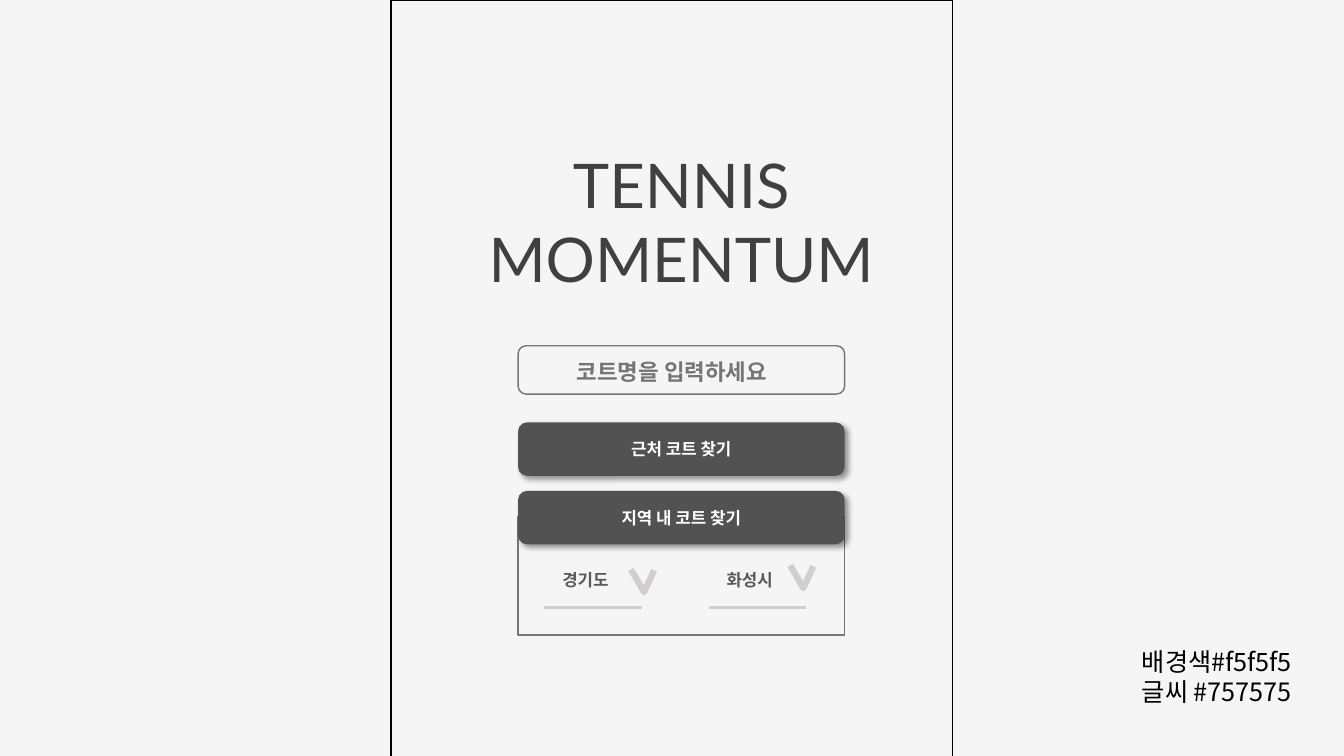
from dataclasses import dataclass

from lxml.etree import SubElement
from pptx import Presentation
from pptx.dml.color import RGBColor
from pptx.enum.shapes import MSO_CONNECTOR as Connector, MSO_SHAPE as Shape
from pptx.enum.text import MSO_ANCHOR as Anchor, MSO_AUTO_SIZE as AutoSize, PP_ALIGN as Align
from pptx.oxml.ns import qn
from pptx.util import Inches, Pt

WIDTH, HEIGHT = Inches(13.33), Inches(7.5)
COLUMN, ROW = WIDTH / 100, HEIGHT / 100


@dataclass(frozen=True)
class Theme:
    background: str = "F5F5F5"
    ink: str = "000000"
    title: str = "404040"
    hint: str = "757575"
    label: str = "595959"
    button: str = "525252"
    button_text: str = "FFFFFF"
    marker: str = "D0CECE"
    body_font: str = "Arial"
    title_font: str = "Lato"
    korean_font: str = "Noto Sans CJK KR"
    title_size: int = 44
    note_size: int = 18
    hint_size: int = 16
    label_size: int = 12
    outline: float = 1
    underline: float = 2.25
    chevron: float = 4.5


THEME = Theme()


@dataclass(frozen=True)
class Box:
    left: float
    top: float
    width: float
    height: float

    def inner(self, left, top, width, height):
        return Box(self.left + left, self.top + top, width, height)

    def lengths(self):
        return (round(self.left * COLUMN), round(self.top * ROW),
                round(self.width * COLUMN), round(self.height * ROW))


def color(value):
    return RGBColor.from_string(value)


def add_run(para, text, size, tint, font, bold=False):
    span = para.add_run()
    span.text = text
    span.font.size = Pt(size)
    span.font.bold = bold
    span.font.name = font
    span.font.color.rgb = color(tint)
    SubElement(span.font._element, qn("a:ea"), typeface=THEME.korean_font)


def add_text(page, box, lines, size, tint, font, bold=False, align=Align.LEFT, wrap=True):
    frame = page.shapes.add_textbox(*box.lengths()).text_frame
    frame.word_wrap = wrap
    frame.auto_size = AutoSize.SHAPE_TO_FIT_TEXT
    for index, line in enumerate(lines):
        para = frame.add_paragraph() if index else frame.paragraphs[0]
        para.alignment = align
        add_run(para, line, size, tint, font, bold)


def add_panel(page, box, kind, fill=None, line=None):
    panel = page.shapes.add_shape(kind, *box.lengths())
    panel.shadow.inherit = False
    if fill:
        panel.fill.solid()
        panel.fill.fore_color.rgb = color(fill)
    else:
        panel.fill.background()
    if line:
        panel.line.color.rgb = color(line)
        panel.line.width = Pt(THEME.outline)
    else:
        panel.line.fill.background()
    return panel


def add_caption(panel, text, size, tint):
    panel.text_frame.word_wrap = True
    panel.text_frame.vertical_anchor = Anchor.MIDDLE
    para = panel.text_frame.paragraphs[0]
    para.alignment = Align.CENTER
    add_run(para, text, size, tint, THEME.body_font, True)


def add_button(page, box, text):
    button = add_panel(page, box, Shape.ROUNDED_RECTANGLE, fill=THEME.button)
    add_caption(button, text, THEME.label_size, THEME.button_text)
    effects = button._element.spPr.find(qn("a:effectLst"))
    shadow = SubElement(effects, qn("a:outerShdw"), blurRad=str(Pt(4)), dist=str(Pt(3)),
                        dir="2700000", algn="tl", rotWithShape="0")
    tint = SubElement(shadow, qn("a:srgbClr"), val=THEME.ink)
    SubElement(tint, qn("a:alpha"), val="40000")


def add_chevron(page, box):
    left, top, width, height = box.lengths()
    builder = page.shapes.build_freeform(left, top)
    builder.add_line_segments(
        [(left + round(width * 0.57), top + height), (left + width, top + round(height * 0.04))],
        close=False)
    chevron = builder.convert_to_shape()
    chevron.shadow.inherit = False
    chevron.fill.background()
    chevron.line.color.rgb = color(THEME.marker)
    chevron.line.width = Pt(THEME.chevron)


def add_selector(page, box, text, chevron_left, chevron_top):
    left, top, width, height = box.lengths()
    underline = page.shapes.add_connector(
        Connector.STRAIGHT, left, top + height, left + width, top + height)
    underline.line.color.rgb = color(THEME.marker)
    underline.line.width = Pt(THEME.underline)
    SubElement(underline._element.spPr, qn("a:effectLst"))
    add_text(page, box.inner(0.6, 0, 7.72, 4), [text], THEME.label_size, THEME.label,
             THEME.body_font, bold=True)
    add_chevron(page, box.inner(chevron_left, chevron_top, 1.72, 3))


def add_region_search(page, box):
    selectors = [("경기도", 6.45, 0.66), ("화성시", 6.08, 0.13)]
    for index, (text, chevron_left, chevron_top) in enumerate(selectors):
        selector = box.inner(1.95 + index * 12.22, 6.27, 7.25, 5.66)
        add_selector(page, selector, text, chevron_left, chevron_top)
    add_panel(page, box, Shape.RECTANGLE, line=THEME.hint)
    add_button(page, box.inner(0, -3.47, box.width, 7.07), "지역 내 코트 찾기")


def add_search_field(page, box):
    hint = add_panel(page, box.inner(-6.37, -1.33, 35.62, 9.47), Shape.ROUNDED_RECTANGLE)
    hint.adjustments[0] = 0.5
    add_caption(hint, "코트명을 입력하세요", THEME.hint_size, THEME.hint)
    add_panel(page, box, Shape.ROUNDED_RECTANGLE, line=THEME.hint)


def add_phone(page, box):
    inset, width = 9.45, 24.3
    add_search_field(page, box.inner(inset, 45.73, width, 6.4))
    add_text(page, box.inner(3, 18.8, 37.2, 21.07), ["TENNIS MOMENTUM"], THEME.title_size,
             THEME.title, THEME.title_font, align=Align.CENTER)
    add_button(page, box.inner(inset, 55.87, width, 7.07), "근처 코트 찾기")
    add_region_search(page, box.inner(inset, 68.4, width, 15.6))
    add_panel(page, box, Shape.RECTANGLE, line=THEME.ink)


def add_color_notes(page, box):
    add_text(page, box, ["배경색#f5f5f5", "글씨 #757575"], THEME.note_size, THEME.ink,
             THEME.korean_font, wrap=False)


def main():
    deck = Presentation()
    deck.slide_width, deck.slide_height = WIDTH, HEIGHT
    page = deck.slides.add_slide(deck.slide_layouts[6])
    page.background.fill.solid()
    page.background.fill.fore_color.rgb = color(THEME.background)
    add_color_notes(page, Box(84.23, 84.8, 13.28, 9.47))
    add_phone(page, Box(29.1, 0, 41.78, 100.13))
    deck.save("out.pptx")


if __name__ == "__main__":
    main()
